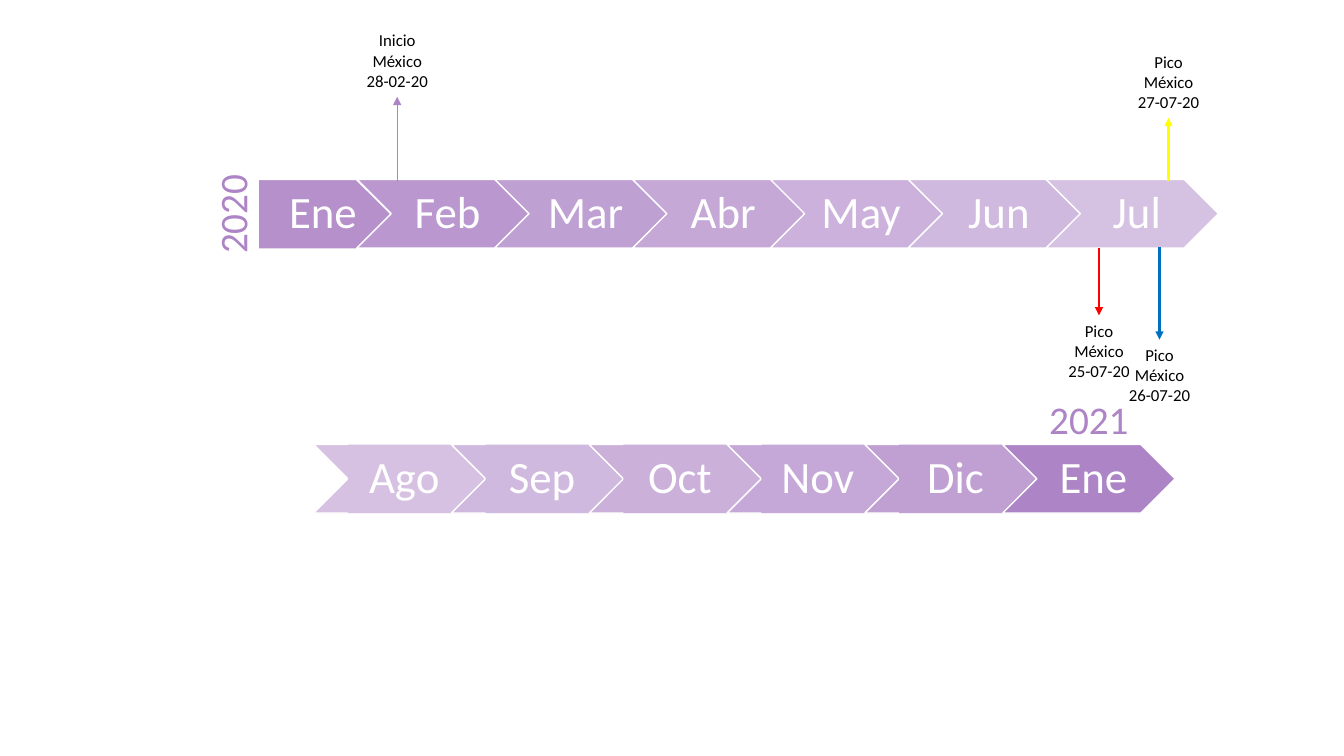
from dataclasses import dataclass
from lxml import etree
from pptx import Presentation
from pptx.dml.color import RGBColor
from pptx.enum.shapes import MSO_CONNECTOR, MSO_SHAPE
from pptx.enum.text import MSO_ANCHOR, PP_ALIGN
from pptx.oxml.ns import qn
from pptx.util import Inches, Pt

CHEVRON, PENTAGON, RECT = MSO_SHAPE.CHEVRON, MSO_SHAPE.PENTAGON, MSO_SHAPE.RECTANGLE
STRAIGHT = MSO_CONNECTOR.STRAIGHT
CENTER = PP_ALIGN.CENTER
TOP, MIDDLE = MSO_ANCHOR.TOP, MSO_ANCHOR.MIDDLE


@dataclass(frozen=True)
class Theme:
    font: str = "Calibri"
    purple: str = "AD84C6"
    white: str = "FFFFFF"
    black: str = "000000"
    red: str = "FF0000"
    yellow: str = "FFFF00"
    blue: str = "0070C0"
    month: int = 32
    year: int = 28
    event: int = 12


THEME = Theme()


def rgb(color):
    return RGBColor.from_string(color)


def tint(color, strength):
    """Blend a colour with white; strength is a percentage."""
    channels = bytes.fromhex(color)
    return "".join(f"{int(255 - (255 - c) * strength / 100):02X}" for c in channels)


def write(shape, text, size, color, anchor=TOP, spacing=None,
          insets=(0.1, 0.05, 0.1, 0.05)):
    tf = shape.text_frame
    tf.word_wrap = True
    tf.vertical_anchor = anchor
    tf.margin_left, tf.margin_top, tf.margin_right, tf.margin_bottom = map(Inches, insets)
    for i, line in enumerate(text.split("\n")):
        p = tf.paragraphs[0] if i == 0 else tf.add_paragraph()
        p.alignment = CENTER
        p.line_spacing = spacing
        r = p.add_run()
        r.text = line
        r.font.name = THEME.font
        r.font.size = Pt(size)
        r.font.color.rgb = rgb(color)


class Timeline:
    def __init__(self, slide, theme):
        self.s, self.theme = slide, theme

    def block(self, kind, x, y, w, h, color, alpha=100, outlined=True):
        sp = self.s.shapes.add_shape(kind, *map(Inches, (x, y, w, h)))
        sp.shadow.inherit = False
        sp.fill.solid()
        sp.fill.fore_color.rgb = rgb(color)
        if alpha < 100:
            clr = sp.fill._xPr.find(qn("a:solidFill"))[0]
            etree.SubElement(clr, qn("a:alpha"), val=str(round(alpha * 1000)))
        if outlined:
            sp.line.color.rgb = rgb(self.theme.white)
            sp.line.width = Pt(1)
        else:
            sp.line.fill.background()
        return sp

    def month(self, sp, name, left_inset=0.14):
        write(sp, name, self.theme.month, self.theme.white, anchor=MIDDLE,
              spacing=0.9, insets=(left_inset, 0.09, 0.05, 0.09))

    def label(self, text, x, y, w, h, size, color, rotation=0):
        sp = self.s.shapes.add_textbox(*map(Inches, (x, y, w, h)))
        sp.rotation = rotation
        write(sp, text, size, color)

    def arrow(self, x, y1, y2, color, width):
        c = self.s.shapes.add_connector(STRAIGHT, *map(Inches, (x, y1, x, y2)))
        c.line.color.rgb = rgb(color)
        c.line.width = Pt(width)
        etree.SubElement(c.line._get_or_add_ln(), qn("a:tailEnd"), type="triangle")
        etree.SubElement(c._element.spPr, qn("a:effectLst"))

    def event(self, text, x, start, end, color, width=1.5):
        """Arrow from the month band to a centred label beyond its tip."""
        w, h = 0.98, 0.71
        self.arrow(x, start, end, color, width)
        top = end if end > start else end - h
        self.label(text, x - w / 2, top, w, h, self.theme.event, self.theme.black)


prs = Presentation()
prs.slide_width, prs.slide_height = Inches(13.33), Inches(7.5)
t = Timeline(prs.slides.add_slide(prs.slide_layouts[6]), THEME)

CHEVRON_W, BAND_H, PITCH = 1.71, 0.68, 1.367
POINT = BAND_H / 2
FADE = 40 / 6  # strength lost per month, from 90 to 50

# January to July 2020, fading out
t.month(t.block(PENTAGON, 2.56, 1.78, 1.32, 0.69, THEME.purple, alpha=90), "Ene", 0.19)
for i, name in enumerate(["Feb", "Mar", "Abr", "May", "Jun", "Jul"]):
    sp = t.block(CHEVRON, 3.54 + i * PITCH, 1.78, CHEVRON_W, BAND_H,
                 THEME.purple, alpha=90 - (i + 1) * FADE)
    t.month(sp, name)

# August to December 2020, growing stronger
ROW2_X, ROW2_Y = 3.11, 4.41
autumn = ["Ago", "Sep", "Oct", "Nov", "Dic"]
for i, name in enumerate(autumn):
    x, color = ROW2_X + i * PITCH, tint(THEME.purple, 50 + i * FADE)
    t.block(CHEVRON, x, ROW2_Y, CHEVRON_W, BAND_H, color)
    t.month(t.block(RECT, x + POINT, ROW2_Y, CHEVRON_W - 2 * POINT, BAND_H,
                    color, outlined=False), name)

# January 2021
t.month(t.block(CHEVRON, ROW2_X + len(autumn) * PITCH, ROW2_Y, CHEVRON_W, BAND_H,
                THEME.purple), "Ene")

# Years
t.label("2020", 1.76, 1.84, 1.08, 0.57, THEME.year, THEME.purple, rotation=270)
t.label("2021", 10.26, 3.87, 1.08, 0.57, THEME.year, THEME.purple)

# Events
t.event("Inicio México\n28-02-20", 3.94, 1.81, 0.96, THEME.purple, width=0.5)
t.event("Pico México\n25-07-20", 10.9, 2.46, 3.13, THEME.red)
t.event("Pico México\n26-07-20", 11.5, 2.45, 3.37, THEME.blue)
t.event("Pico México\n27-07-20", 11.59, 1.8, 1.17, THEME.yellow)

prs.save("out.pptx")
